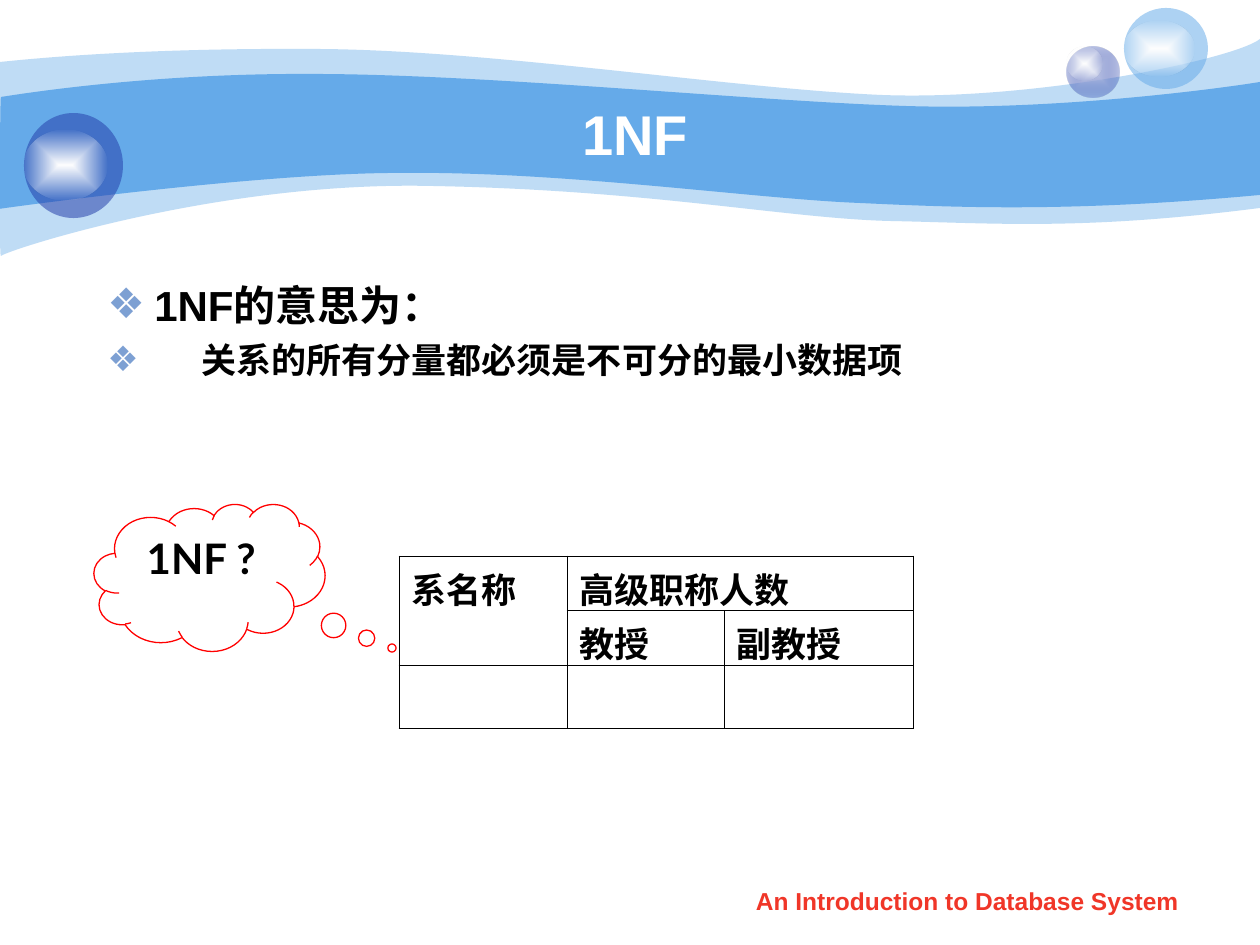
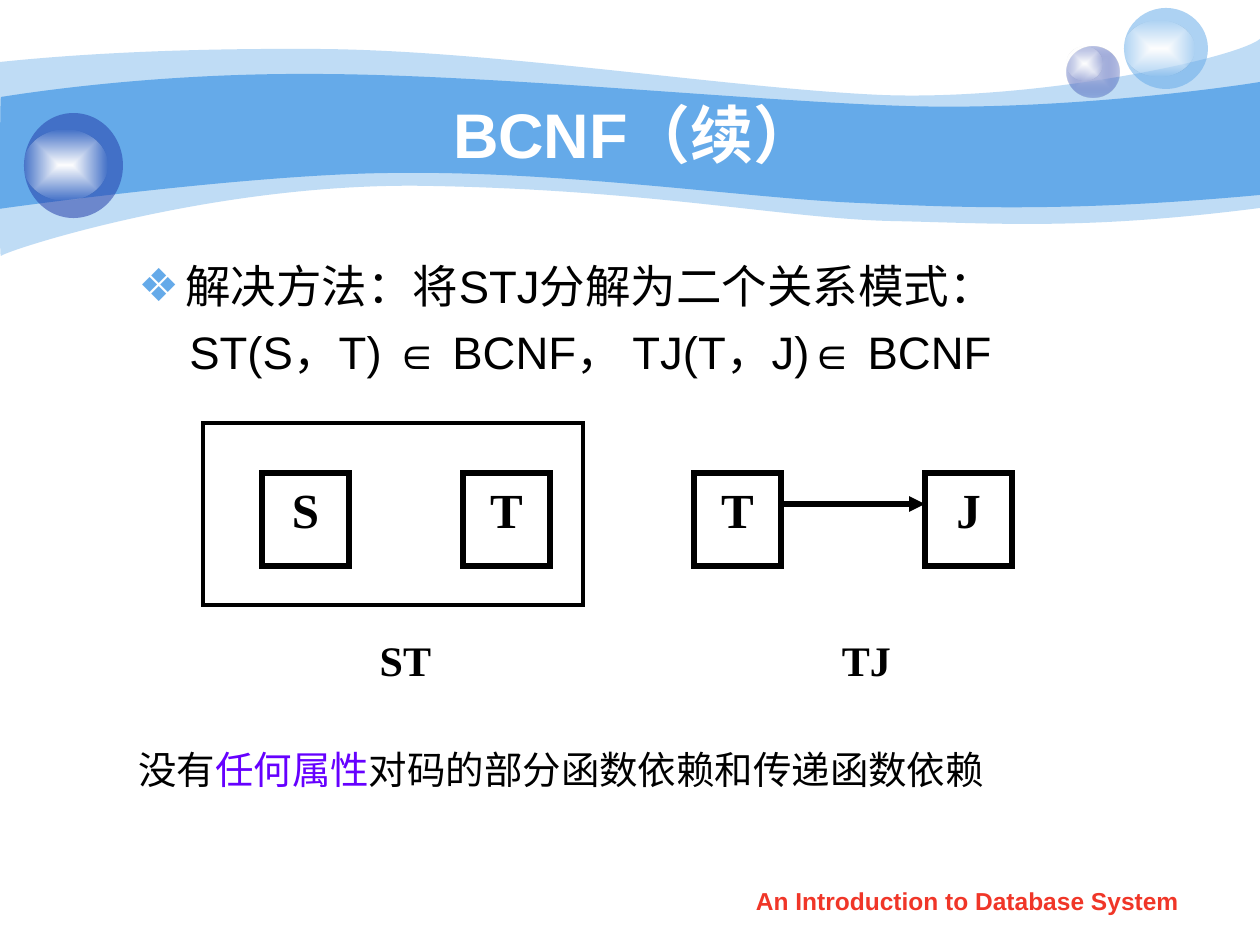
"""Build two slides about database normal forms under a shared wave banner."""
from dataclasses import dataclass

from lxml.etree import SubElement
from pptx import Presentation
from pptx.dml.color import RGBColor
from pptx.enum.shapes import MSO_CONNECTOR, MSO_SHAPE
from pptx.enum.text import MSO_ANCHOR, PP_ALIGN
from pptx.oxml import parse_xml
from pptx.oxml.ns import nsdecls, qn
from pptx.util import Pt

PX = 914400 / 126


@dataclass(frozen=True)
class Theme:
    """Colours, fonts and type sizes of the deck."""
    sky: str = "65AAE9"
    navy: str = "233DA9"
    lilac: str = "C7CEE9"
    white: str = "FFFFFF"
    black: str = "000000"
    red: str = "FF0000"
    footer: str = "F03628"
    steel: str = "7DA0D3"
    violet: str = "6600FF"
    sans: str = "Arial"
    serif: str = "Times New Roman"
    cloud: str = "Lato"
    small: int = 14
    cell: int = 20
    note: int = 22
    label: int = 24
    body: int = 26
    node: int = 28
    title: int = 32
    big_title: int = 36


T = Theme()

FOOTER = "An Introduction to Database System"
WAVES = [
    (41, (0, 62), [
        [(30, 59), (135, 48), (311, 49)], [(486, 49), (725, 88), (881, 95)],
        [(1036, 101), (1235, 59), (1260, 39)], [(1260, 208)],
        [(1081, 231), (992, 223), (888, 221)], [(784, 218), (649, 190), (432, 186)],
        [(217, 181), (5, 251), (1, 256)], [(-1, 262), (0, 95), (0, 62)]]),
    (100, (1, 97), [
        [(3, 97), (139, 73), (312, 74)], [(486, 74), (750, 101), (905, 106)],
        [(1060, 111), (1230, 87), (1260, 82)], [(1260, 195)],
        [(1075, 212), (964, 208), (859, 203)], [(755, 199), (563, 171), (399, 173)],
        [(256, 173), (-3, 209), (-1, 209)], [(0, 209), (0, 97), (1, 97)]]),
]
GLOSS = ((T.white, 100), (T.white, 0))
BALLS = [
    ((1067, 47, 53, 51), ((T.lilac, 100), (T.navy, 31))),
    ((1067, 47, 36, 34), GLOSS),
    ((1124, 8, 84, 81), ((T.sky, 53),)),
    ((1124, 21, 70, 55), GLOSS),
    ((24, 113, 99, 105), ((T.navy, 53),)),
    ((24, 130, 83, 70), GLOSS),
]

MEANING = [
    dict(runs=[("1NF的意思为：", T.black)], size=T.label, bold=True, before=6,
         indent=(47, -47), bullet=T.steel),
    dict(runs=[("关系的所有分量都必须是不可分的最小数据项", T.black)], size=T.cell,
         bold=True, before=5, indent=(94, -94), bullet=T.steel),
]
CELLS = [["系名称", "高级职称人数", ""], ["", "教授", "副教授"], ["", "", ""]]
MERGES = [((0, 0), (1, 0)), ((0, 1), (0, 2))]
COL_W = [168, 157, 189]
ROW_H = [54, 54, 63]

SOLUTION = [
    dict(runs=[("解决方法：将STJ分解为二个关系模式：", T.black)], size=T.body, before=6.5,
         indent=(47, -47), bullet=T.sky),
    dict(runs=[("ST(S，T) ∈ BCNF， TJ(T，J)∈ BCNF", T.black)], size=T.body,
         before=6.5, indent=(51, 0)),
    dict(runs=[("没有", T.black), ("任何属性", T.violet),
               ("对码的部分函数依赖和传递函数依赖", T.black)], size=T.note, before=210),
]
NODES = [("S", 262), ("T", 463), ("T", 694), ("J", 925)]
NODE_Y, NODE_W, NODE_H = 473, 87, 93
CAPTIONS = [("ST", 348), ("TJ", 809)]


def px(*values):
    """Turn px lengths into EMU."""
    return [round(v * PX) for v in values]


def rgb(code):
    return RGBColor.from_string(code)


def color_xml(code, alpha):
    opacity = f'<a:alpha val="{alpha * 1000}"/>' if alpha < 100 else ""
    return f'<a:srgbClr val="{code}">{opacity}</a:srgbClr>'


def paint(sp, stops):
    """Fill a shape with one colour or a two-stop rectangular gradient."""
    if len(stops) == 1:
        xml = f'<a:solidFill {nsdecls("a")}>{color_xml(*stops[0])}</a:solidFill>'
    else:
        gs = "".join(f'<a:gs pos="{i * 100000}">{color_xml(*c)}</a:gs>'
                     for i, c in enumerate(stops))
        xml = (f'<a:gradFill {nsdecls("a")} rotWithShape="1"><a:gsLst>{gs}</a:gsLst>'
               '<a:path path="rect"><a:fillToRect l="50000" t="50000" r="50000" '
               'b="50000"/></a:path></a:gradFill>')
    sp.fill.background()
    spPr = sp._element.spPr
    spPr.replace(spPr.find(qn("a:noFill")), parse_xml(xml))
    sp.line.fill.background()
    sp.shadow.inherit = False


def write(tf, paras, font=T.sans, anchor=MSO_ANCHOR.TOP):
    """Write paragraphs of coloured runs into a text frame."""
    tf.word_wrap = True
    tf.vertical_anchor = anchor
    for i, para in enumerate(paras):
        p = tf.add_paragraph() if i else tf.paragraphs[0]
        p.alignment = para.get("align", PP_ALIGN.LEFT)
        p.space_before = Pt(para.get("before", 0))
        pPr = p._p.get_or_add_pPr()
        left, first = px(*para.get("indent", (0, 0)))
        pPr.set("marL", str(left))
        pPr.set("indent", str(first))
        if "bullet" in para:
            clr = SubElement(pPr, qn("a:buClr"))
            SubElement(clr, qn("a:srgbClr"), val=para["bullet"])
            SubElement(pPr, qn("a:buFont"), typeface=font)
            SubElement(pPr, qn("a:buChar"), char="❖")
        for text, color in para["runs"]:
            r = p.add_run()
            r.text = text
            r.font.name = font
            r.font.size = Pt(para["size"])
            r.font.bold = para.get("bold", False)
            r.font.color.rgb = rgb(color)


def heading(text, size, color=T.black, before=0):
    """Describe one centred bold line."""
    return [dict(runs=[(text, color)], size=size, bold=True, before=before,
                 align=PP_ALIGN.CENTER)]


def textbox(s, box, paras, font=T.sans, anchor=MSO_ANCHOR.TOP):
    write(s.shapes.add_textbox(*px(*box)).text_frame, paras, font, anchor)


def outline(s, kind, box, color, width):
    """Add an unfilled preset shape with sharp corners."""
    sp = s.shapes.add_shape(kind, *px(*box))
    sp.fill.background()
    sp.line.color.rgb = rgb(color)
    sp.line.width = Pt(width)
    SubElement(sp.line._get_or_add_ln(), qn("a:miter"), lim="800000")
    sp.shadow.inherit = False
    return sp


def add_wave(s, alpha, start, segments):
    """Add a closed outline whose three-point segments are cubic curves."""
    fb = s.shapes.build_freeform(*px(*start))
    fb.add_line_segments([px(*pt) for seg in segments for pt in seg], close=True)
    sp = fb.convert_to_shape()
    lines = iter(list(sp._element.iter(qn("a:lnTo"))))
    for seg in segments:
        group = [next(lines) for _ in seg]
        if len(group) == 3:
            curve = parse_xml(f'<a:cubicBezTo {nsdecls("a")}/>')
            group[0].addprevious(curve)
            for line in group:
                curve.append(line[0])
                line.getparent().remove(line)
    paint(sp, ((T.sky, alpha),))


def new_slide(prs, title, size):
    """Start a slide with banner, balls, footer and title."""
    s = prs.slides.add_slide(prs.slide_layouts[6])
    for wave in WAVES:
        add_wave(s, *wave)
    for box, stops in BALLS:
        paint(s.shapes.add_shape(MSO_SHAPE.OVAL, *px(*box)), stops)
    textbox(s, (719, 880, 497, 44), heading(FOOTER, T.small, T.footer))
    textbox(s, (126, 94, 1018, 78), heading(title, size, T.white), anchor=MSO_ANCHOR.MIDDLE)
    return s


def add_title_table(s):
    """Add the table with a split header."""
    box = px(399, 556, sum(COL_W), sum(ROW_H))
    table = s.shapes.add_table(len(CELLS), len(COL_W), *box).table
    table.first_row = table.horz_banding = False
    for col, w in zip(table.columns, px(*COL_W)):
        col.width = w
    for row, h in zip(table.rows, px(*ROW_H)):
        row.height = h
    for i, texts in enumerate(CELLS):
        for j, text in enumerate(texts):
            cell = table.cell(i, j)
            cell.fill.background()
            tcPr = cell._tc.get_or_add_tcPr()
            for k, side in enumerate("LRTB"):
                tcPr.insert(k, parse_xml(
                    f'<a:ln{side} {nsdecls("a")} w="{Pt(0.45)}"><a:solidFill>'
                    f'{color_xml(T.black, 100)}</a:solidFill></a:ln{side}>'))
            if text:
                write(cell.text_frame, [dict(runs=[(text, T.black)], size=T.cell,
                                             bold=True, before=5)])
    for first, last in MERGES:
        table.cell(*first).merge(table.cell(*last))


def first_form(prs):
    s = new_slide(prs, "1NF", T.title)
    textbox(s, (95, 273, 1071, 567), MEANING)
    add_title_table(s)
    cloud = outline(s, MSO_SHAPE.CLOUD_CALLOUT, (94, 504, 231, 147), T.red, 0.75)
    cloud.adjustments[0], cloud.adjustments[1] = 0.79, 0.48
    write(cloud.text_frame, heading("1NF ?", T.label, before=6), T.cloud)


def boyce_codd(prs):
    s = new_slide(prs, "BCNF（续）", T.big_title)
    textbox(s, (126, 252, 1071, 567), SOLUTION)
    for name, x in NODES:
        sp = outline(s, MSO_SHAPE.RECTANGLE, (x, NODE_Y, NODE_W, NODE_H), T.black, 3)
        write(sp.text_frame, heading(name, T.node), T.serif)
    for text, x in CAPTIONS:
        textbox(s, (x, 628, 115, 93), heading(text, T.label), T.serif)
    arrow = s.shapes.add_connector(MSO_CONNECTOR.STRAIGHT,
                                   *px(NODES[2][1] + NODE_W, 504, NODES[3][1], 504))
    arrow.line.color.rgb = rgb(T.black)
    arrow.line.width = Pt(3)
    SubElement(arrow.line._get_or_add_ln(), qn("a:tailEnd"), type="triangle")
    SubElement(arrow._element.spPr, qn("a:effectLst"))
    outline(s, MSO_SHAPE.RECTANGLE, (203, 423, 380, 182), T.black, 2.25)


def main():
    prs = Presentation()
    prs.slide_width, prs.slide_height = px(1260, 945)
    first_form(prs)
    boyce_codd(prs)
    prs.save("out.pptx")


if __name__ == "__main__":
    main()
